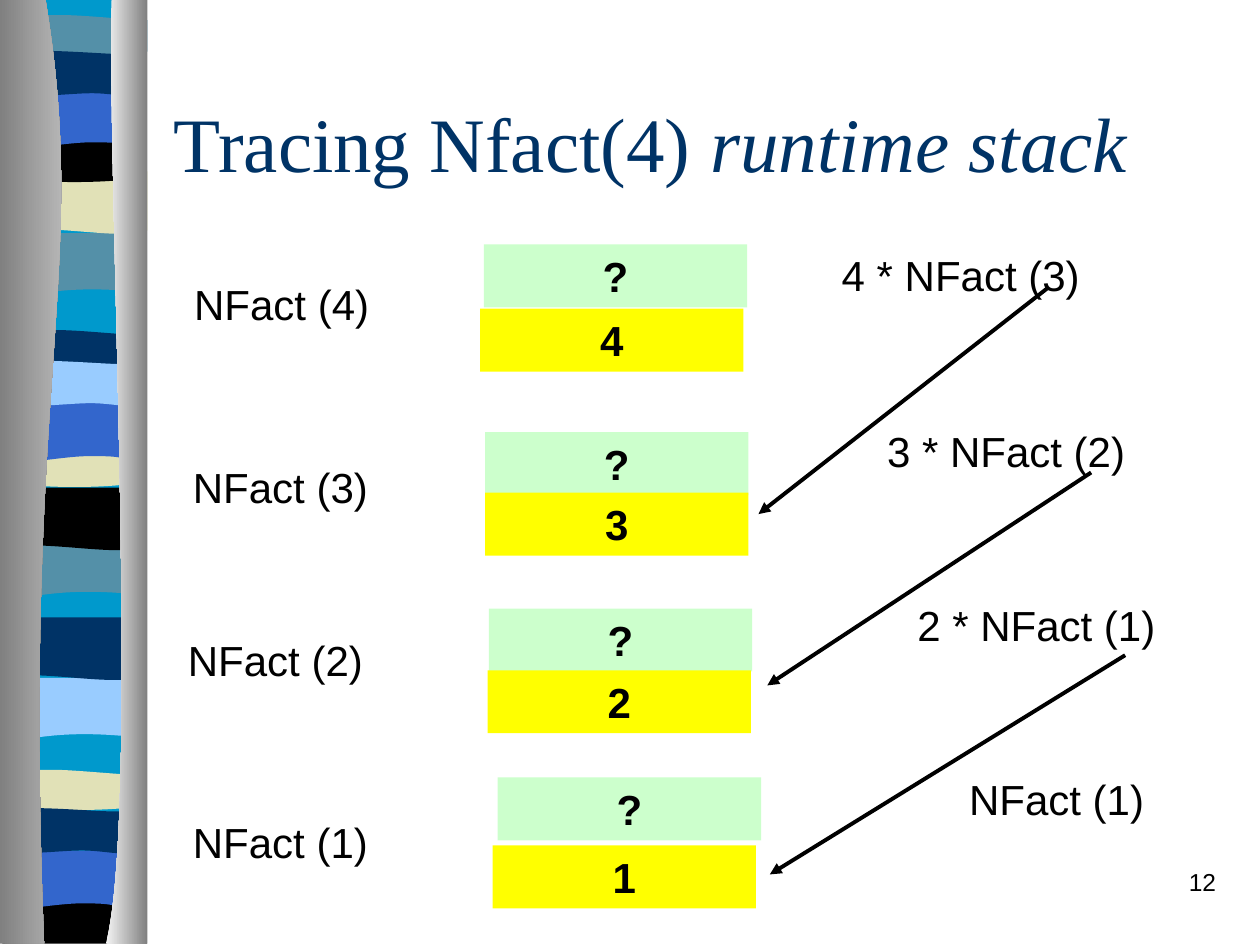
from pptx import Presentation
from pptx.dml.color import RGBColor
from pptx.enum.shapes import MSO_CONNECTOR, MSO_SHAPE
from pptx.enum.text import MSO_ANCHOR, MSO_AUTO_SIZE, PP_ALIGN
from pptx.oxml.ns import qn
from pptx.util import Pt
from lxml import etree

PX = 9144  # 100 px to the inch
CENTER, LEFT, RIGHT = PP_ALIGN.CENTER, PP_ALIGN.LEFT, PP_ALIGN.RIGHT
TOP, MIDDLE = MSO_ANCHOR.TOP, MSO_ANCHOR.MIDDLE
NO_AUTOFIT = MSO_AUTO_SIZE.NONE
RECTANGLE, STRAIGHT = MSO_SHAPE.RECTANGLE, MSO_CONNECTOR.STRAIGHT
COLORS = {
    "cyan": "0099CC", "teal": "5490A8", "cream": "E1E1B7", "black": "000000",
    "blue": "3366CC", "navy": "003366", "sky": "99CCFF",
    "yellow": "FFFF00", "green": "CCFFCC",
    "dark gray": "808080", "light gray": "D0D0D0", "pale gray": "F4F4F4",
}


def add_outline(shapes, segments, left=0, top=0):
    """Closed shape from segments of one point (line) or three (Bezier curve)."""
    points = [((x + left) * PX, (y + top) * PX)
              for segment in segments for x, y in segment]
    builder = shapes.build_freeform(*points[0])
    builder.add_line_segments(points[1:], close=True)
    shape = builder.convert_to_shape()
    lines = iter(list(shape._element.iter(qn("a:lnTo"))))
    for segment in segments[1:]:
        first, *others = [next(lines) for point in segment]
        if others:
            first.tag = qn("a:cubicBezTo")
            for other in others:
                first.append(other[0])
                other.getparent().remove(other)
    shape.shadow.inherit = False
    shape.line.fill.background()
    return shape


def write(shape, runs, size, align=CENTER, color="black", font="Arial", bold=False,
          wrap=True, anchor=TOP):
    """Fill a shape with one paragraph of (text, italic) runs."""
    frame = shape.text_frame
    frame.word_wrap = wrap
    frame.auto_size = NO_AUTOFIT
    frame.vertical_anchor = anchor
    para = frame.paragraphs[0]
    para.alignment = align
    for text, italic in runs:
        span = para.add_run()
        span.text = text
        span.font.name = font
        span.font.size = Pt(size)
        span.font.bold = bold
        span.font.italic = italic
        span.font.color.rgb = RGBColor.from_string(COLORS[color])


deck = Presentation()
deck.slide_width, deck.slide_height = 1000 * PX, 750 * PX
page = deck.slides.add_slide(deck.slide_layouts[5])
shapes = page.shapes

# Ribbon: a base and three rounds of six wavy bands
base = add_outline(shapes, [[(114, -1)], [(114, 747)], [(6, 747)], [(6, -1)]])
base.fill.solid()
base.fill.fore_color.rgb = RGBColor.from_string(COLORS["cyan"])

cap_top = [(67, 5), (86, 0), (108, 0)]
BANDS = {
    "sheet": [[(108, 0)], [(108, 47)], [(33, 39), (18, 55), (0, 47)], [(0, 0)]],
    "drape": [[(108, 0)], [(108, 47)], [(90, 55), (33, 42), (0, 47)], [(0, 0)]],
    "lens": [[(108, 4)], [(108, 29)], [(90, 33), (18, 33), (0, 29)], [(0, 4)],
             [(7, 0), (23, 0), (41, 0)], [(59, 0), (94, 4), (108, 4)]],
    "cap": [[(108, 0)], [(108, 32)], [(90, 38), (18, 38), (0, 32)], [(0, 0)], cap_top],
    "foot": [[(108, 0)], [(108, 37)], [(0, 37)], [(0, 0)], cap_top],
    "wave": [[(108, 0)], [(108, 48)], [(91, 42), (84, 42), (66, 42)],
             [(48, 42), (16, 48), (0, 48)], [(0, 0)]],
    "flag": [[(108, 6)], [(108, 37)], [(101, 42), (85, 37), (67, 37)],
             [(49, 37), (11, 42), (0, 37)], [(0, 6)],
             [(15, 0), (74, 6), (92, 6)], [(110, 6), (105, 6), (108, 6)]],
}
for band, color, left, top in [
    ("sheet", "teal", 5, 185), ("drape", "cream", 9, 136), ("lens", "teal", 9, 12),
    ("cap", "black", 5, 108), ("wave", "blue", 6, 71), ("flag", "navy", 6, 37),
    ("sheet", "teal", 2, 425), ("drape", "black", 5, 387), ("lens", "navy", 5, 262),
    ("cap", "cream", 5, 350), ("wave", "blue", 5, 320), ("flag", "sky", 5, 283),
    ("sheet", "sky", -1, 538), ("drape", "navy", 2, 490), ("lens", "cream", 1, 611),
    ("foot", "black", 2, 712), ("wave", "blue", -2, 675), ("flag", "navy", -2, 638),
]:
    shape = add_outline(shapes, BANDS[band], left, top)
    shape.fill.solid()
    shape.fill.fore_color.rgb = RGBColor.from_string(COLORS[color])

# Gray pillars on both sides of the ribbon
for outline, ends in [
    ([[(36, -1)], [(72, 216), (17, 296), (35, 749)], [(0, 749)], [(0, -1)]],
     ("dark gray", "light gray")),
    ([[(89, -1)], [(84, 125), (112, 646), (84, 749)], [(117, 749)], [(117, -1)]],
     ("pale gray", "dark gray")),
]:
    pillar = add_outline(shapes, outline)
    pillar.fill.gradient()
    pillar.fill.gradient_angle = 0
    for stop, color in zip(pillar.fill.gradient_stops, ends):
        stop.color.rgb = RGBColor.from_string(COLORS[color])

title = shapes.title
title.left, title.top, title.width, title.height = (
    n * PX for n in (128, 50, 850, 125))
write(title, [("Tracing Nfact(4) ", False), ("runtime stack", True)], 44, LEFT,
      "navy", "Times New Roman", anchor=MIDDLE)

number = shapes.add_textbox(*(n * PX for n in (767, 683, 208, 50)))
write(number, [("12", False)], 14, RIGHT)

# Stack frames: the unknown result above the argument
for argument, result_at, argument_at in [
    ("4", (384, 194), (381, 245)), ("3", (385, 343), (385, 391)),
    ("2", (388, 483), (387, 532)), ("1", (395, 617), (391, 671)),
]:
    for text, color, (left, top) in [("?", "green", result_at),
                                     (argument, "yellow", argument_at)]:
        box = shapes.add_shape(RECTANGLE, left * PX, top * PX, 209 * PX, 50 * PX)
        box.shadow.inherit = False
        box.fill.solid()
        box.fill.fore_color.rgb = RGBColor.from_string(COLORS[color])
        box.line.fill.background()
        write(box, [(text, False)], 24, bold=True)

# Calls on the left, returned expressions on the right
for text, left, top, width in [
    ("NFact (4)", 144, 216, 159), ("NFact (3)", 143, 361, 159),
    ("NFact (2)", 139, 499, 159), ("NFact (1)", 143, 643, 159),
    ("4 * NFact (3)", 658, 193, 209), ("3 * NFact (2)", 694, 333, 209),
    ("2 * NFact (1)", 718, 471, 209), ("NFact (1)", 759, 609, 159),
]:
    label = shapes.add_textbox(left * PX, top * PX, width * PX, 50 * PX)
    write(label, [(text, False)], 24, wrap=False)

# Arrows from each expression to the frame it opens
for ends in [(831, 229, 602, 408), (866, 375, 609, 544), (893, 520, 611, 694)]:
    arrow = shapes.add_connector(STRAIGHT, *(n * PX for n in ends))
    arrow.line.width = Pt(2.25)
    arrow.line.color.rgb = RGBColor.from_string(COLORS["black"])
    etree.SubElement(arrow.line._get_or_add_ln(), qn("a:tailEnd"), type="triangle")
    etree.SubElement(arrow._element.spPr, qn("a:effectLst"))

deck.save("out.pptx")
